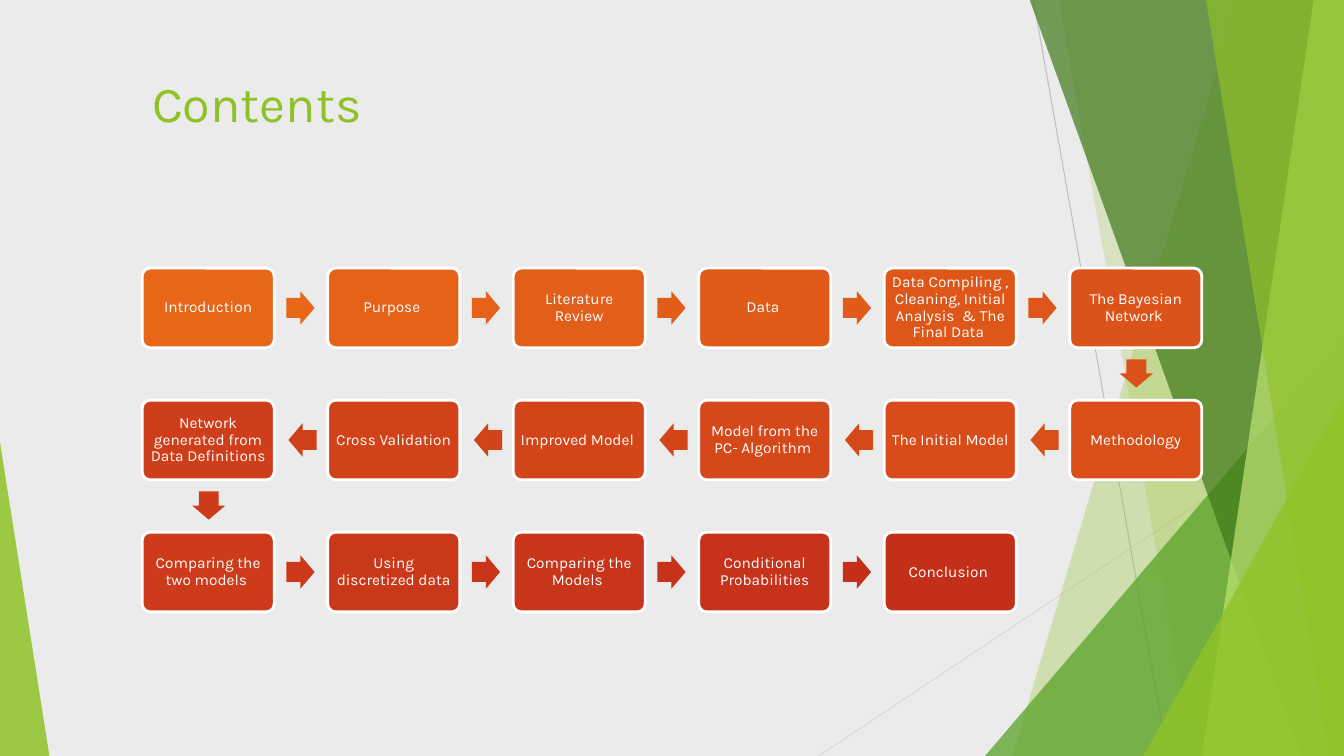
"""Builds the contents slide with its winding chain of topics."""
from colorsys import hls_to_rgb, rgb_to_hls
from dataclasses import dataclass

from lxml import etree
from pptx import Presentation
from pptx.dml.color import RGBColor
from pptx.enum.shapes import MSO_CONNECTOR, MSO_SHAPE
from pptx.enum.text import MSO_ANCHOR, PP_ALIGN
from pptx.oxml.ns import qn
from pptx.util import Inches, Pt

LINE = MSO_CONNECTOR.STRAIGHT
PEAK = MSO_SHAPE.ISOSCELES_TRIANGLE
CARD = MSO_SHAPE.ROUNDED_RECTANGLE
ARROW = MSO_SHAPE.RIGHT_ARROW
MIDDLE = MSO_ANCHOR.MIDDLE
TOP = MSO_ANCHOR.TOP
CENTER = PP_ALIGN.CENTER
LEFT = PP_ALIGN.LEFT

WIDE, HIGH = 13.33, 7.5
TOPICS = [
    "Introduction", "Purpose ", "Literature Review", "Data ",
    "Data Compiling , Cleaning, Initial Analysis  & The Final Data ",
    "The Bayesian Network ", "Methodology", "The Initial Model ",
    "Model from the PC- Algorithm ", "Improved Model ", "Cross Validation",
    "Network generated from Data Definitions ", "Comparing the two models ",
    "Using discretized data ", "Comparing the Models ",
    "Conditional Probabilities", "Conclusion ",
]
COLS = 6
LEFT_X, TOP_Y = 1.41, 2.66
STEP_X, STEP_Y = 1.84, 1.31
CARD_W, CARD_H = 1.31, 0.79
ARROW_W, ARROW_H = 0.28, 0.33
TURNS = {0: (1.43, 0.23), 180: (-0.39, 0.23), 90: (0.52, 0.88)}


@dataclass(frozen=True)
class Theme:
    """Holds the colours, font and type sizes."""
    font: str = "Karla"
    back: str = "EBEBEB"
    lime: str = "90C226"
    pale: str = "C0E474"
    leaf: str = "54A021"
    dark: str = "3F7819"
    white: str = "FFFFFF"
    gray: str = "BFBFBF"
    mist: str = "D9D9D9"
    first: str = "E76618"
    last: str = "C42F1A"
    head: int = 36
    body: int = 11
    thin: float = 0.75
    edge: float = 2

    def blend(self, part):
        """Return the chain colour at a part of the way, from 0 to 1."""
        ends = [rgb_to_hls(*(v / 255 for v in RGBColor.from_string(c)))
                for c in (self.first, self.last)]
        tone = [a + (b - a) * part for a, b in zip(*ends)]
        return "".join(f"{round(v * 255):02X}" for v in hls_to_rgb(*tone))


def apply(item, values):
    """Set each named value on the item."""
    for name, value in values.items():
        setattr(item, name, value)


class Board:
    """Draws elements on one slide in one style."""

    def __init__(self, deck, theme):
        """Add a blank slide with a plain background."""
        self.theme = theme
        self.slide = deck.slides.add_slide(deck.slide_layouts[6])
        self.shapes = self.slide.shapes
        self.paint(self.slide.background.fill, theme.back)

    def paint(self, fill, color, alpha=100):
        """Give a solid fill with an opacity in percent."""
        fill.solid()
        fill.fore_color.rgb = RGBColor.from_string(color)
        if alpha < 100:
            for tag in fill._xPr.iter(qn("a:srgbClr")):
                etree.SubElement(tag, qn("a:alpha"), val=str(alpha * 1000))

    def finish(self, shape, color, alpha=100, edge=None):
        """Set the fill and the outline without a shadow."""
        shape.shadow.inherit = False
        self.paint(shape.fill, color, alpha)
        if edge:
            self.paint(shape.line.fill, edge)
            shape.line.width = Pt(self.theme.edge)
        else:
            shape.line.fill.background()
        return shape

    def line(self, ends, color):
        """Draw a thin straight line."""
        line = self.shapes.add_connector(LINE, *map(Inches, ends))
        self.paint(line.line.fill, color)
        line.line.width = Pt(self.theme.thin)
        etree.SubElement(line._element.spPr, qn("a:effectLst"))

    def facet(self, top, base, color, alpha):
        """Draw a slanted pane that reaches the right edge."""
        spots = [(WIDE, -0.01), (WIDE, HIGH), (base, HIGH)]
        pen = self.shapes.build_freeform(Inches(top), Inches(-0.01))
        pen.add_line_segments([tuple(map(Inches, s)) for s in spots])
        self.finish(pen.convert_to_shape(), color, alpha)

    def shape(self, kind, box, adjust, color, alpha=100, edge=None):
        """Draw a preset shape."""
        shape = self.shapes.add_shape(kind, *map(Inches, box))
        for i, value in enumerate(adjust):
            shape.adjustments[i] = value
        return self.finish(shape, color, alpha, edge)

    def label(self, shape, text, frame, para, size, color):
        """Put one paragraph of text in a shape."""
        apply(shape.text_frame, {"word_wrap": True, **frame})
        line = shape.text_frame.paragraphs[0]
        apply(line, para)
        run = line.add_run()
        run.text = text
        apply(run.font, {"name": self.theme.font, "size": Pt(size)})
        run.font.color.rgb = RGBColor.from_string(color)

    def title(self, text, box):
        """Add the slide title."""
        area = self.shapes.add_textbox(*map(Inches, box))
        self.label(area, text, {"vertical_anchor": TOP}, {"alignment": LEFT},
                   self.theme.head, self.theme.lime)

    def card(self, text, x, y, color):
        """Draw a topic card."""
        card = self.shape(CARD, (x, y, CARD_W, CARD_H), [0.1], color,
                          edge=self.theme.white)
        sides = ("left", "right", "top", "bottom")
        frame = {f"margin_{s}": Inches(0.05) for s in sides}
        self.label(card, text, {"vertical_anchor": MIDDLE, **frame},
                   {"alignment": CENTER, "line_spacing": 0.9,
                    "space_after": Pt(3.85)},
                   self.theme.body, self.theme.white)

    def arrow(self, x, y, turn, color):
        """Draw the arrow that leaves a card at the given spot."""
        dx, dy = TURNS[turn]
        box = (x + dx, y + dy, ARROW_W, ARROW_H)
        self.shape(ARROW, box, [0.6, 0.5], color).rotation = turn


def scene(board):
    """Draw the angular backdrop."""
    theme = board.theme
    board.line((10.25, 0, 11.58, HIGH), theme.gray)
    board.line((WIDE, 4.03, 8.12, HIGH), theme.mist)
    board.facet(12.28, 10.04, theme.lime, 30)
    board.facet(10.5, 11.83, theme.lime, 20)
    board.shape(PEAK, (9.77, 3.33, 3.56, 4.17), [1], theme.leaf, 72)
    board.facet(10.21, 12.91, theme.dark, 70)
    board.facet(13.03, 11.92, theme.pale, 70)
    board.facet(11.96, 13.18, theme.lime, 65)
    board.shape(PEAK, (11.34, 3.93, 1.99, 3.57), [1], theme.lime, 80)
    board.shape(PEAK, (0, 4.39, 0.49, 3.11), [0], theme.lime, 85)


def chain(board):
    """Lay the topics out in rows of alternating direction."""
    last = len(TOPICS) - 1
    for i, text in enumerate(TOPICS):
        row, col = divmod(i, COLS)
        back = row % 2
        x = LEFT_X + STEP_X * (COLS - 1 - col if back else col)
        y = TOP_Y + STEP_Y * row
        board.card(text, x, y, board.theme.blend(i / last))
        if i < last:
            turn = 90 if col == COLS - 1 else 180 * back
            board.arrow(x, y, turn, board.theme.blend(i / (last - 1)))


def main():
    """Build and save the deck."""
    deck = Presentation()
    apply(deck, {"slide_width": Inches(WIDE), "slide_height": Inches(HIGH)})
    board = Board(deck, Theme())
    scene(board)
    board.title("Contents", (1.41, 0.67, 11.15, 1.2))
    chain(board)
    deck.save("out.pptx")


if __name__ == "__main__":
    main()
